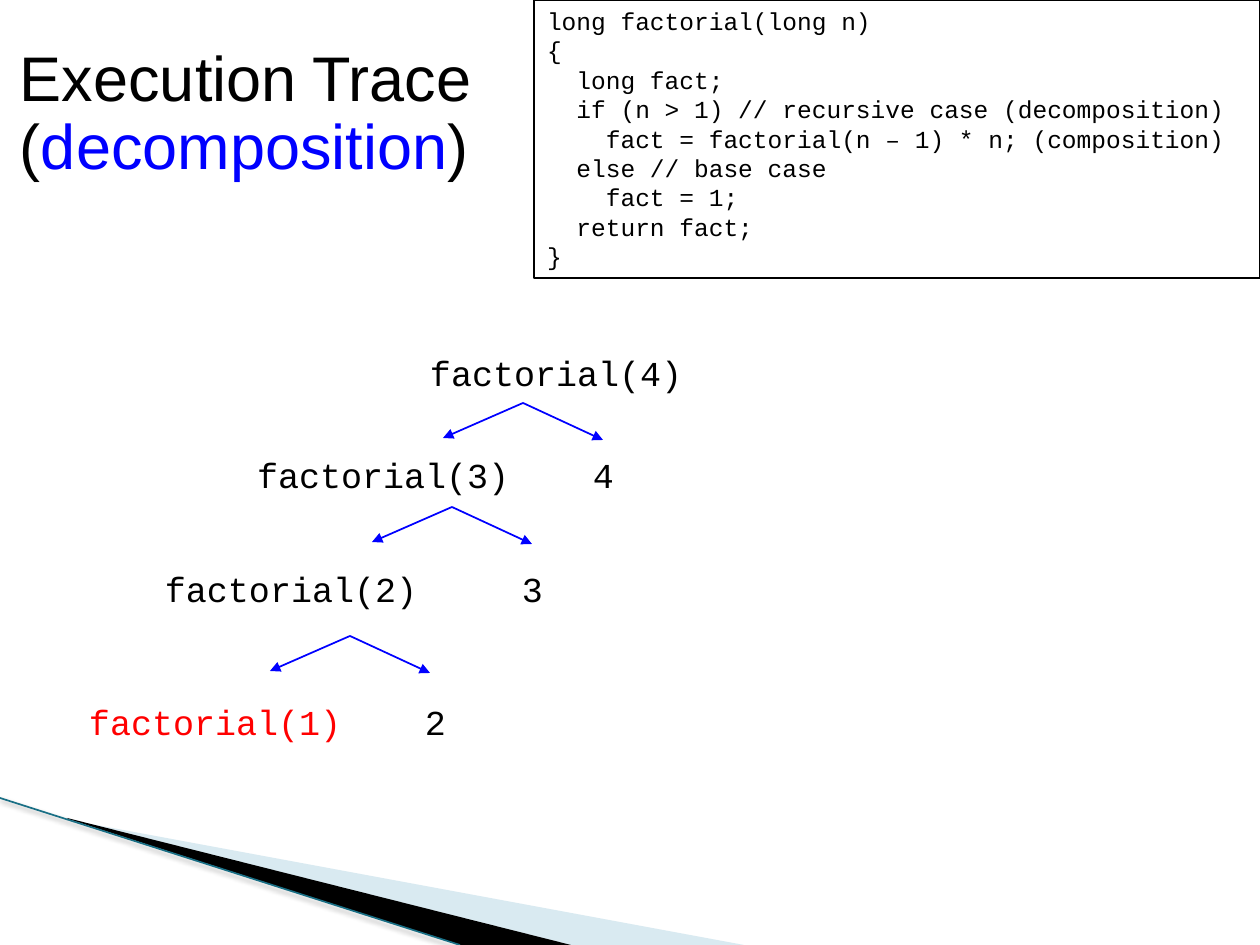
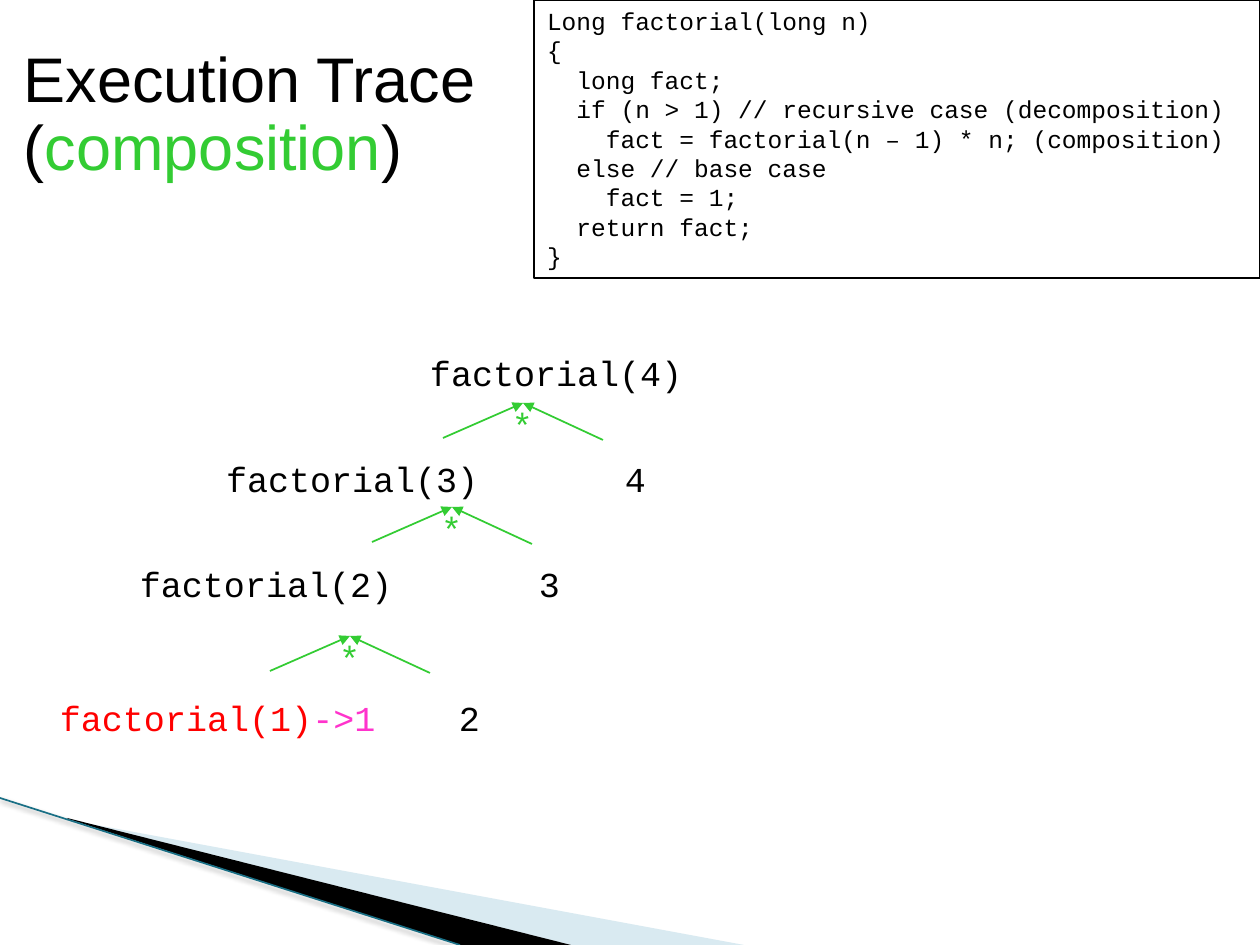
from dataclasses import dataclass

from lxml import etree
from pptx import Presentation
from pptx import util as u
from pptx.dml.color import RGBColor
from pptx.enum import shapes, text
from pptx.oxml import ns

SCALE = u.Inches(1) / 126
WIDE, HIGH = 1260, 945
BLACK = RGBColor(0, 0, 0)
WHITE = RGBColor(255, 255, 255)
BLUE = RGBColor(0, 0, 255)
GREEN = RGBColor(0x33, 0xCC, 0x33)
RED = RGBColor(255, 0, 0)
PINK = RGBColor(0xFF, 0x33, 0xCC)
PALE = RGBColor(0xA0, 0xCB, 0xDC)
TEAL = RGBColor(0x19, 0x6F, 0x85)
SANS, MONO = "Arial", "Courier New"
CHAR = 21
PAD = (13, 6)
PEAKS = [(523, 403), (452, 507), (350, 636)]
CODE = """{
  long fact;
  if (n > 1) // recursive case (decomposition)
    fact = factorial(n – 1) * n; (composition)
  else // base case
    fact = 1;
  return fact;
}""".split("\n")

Run = tuple[str, RGBColor]
Point = tuple[int, int]
Box = tuple[int, int, int, int]


@dataclass
class Call:
    box: Box
    runs: list[Run]
    stop: int = 0


@dataclass
class Trace:
    word: str
    tint: RGBColor
    title: Box
    kind: str
    calls: list[Call]
    upward: bool


def px(num: float) -> u.Emu:
    return u.Emu(round(num * SCALE))


def node(owner, tag: str, **attrs):
    item = etree.SubElement(owner, ns.qn(tag))
    for key, val in attrs.items():
        item.set(key, str(val))
    return item


def write(frame, lines: list[list[Run]], *, size: int = 20, font: str = MONO,
          pad: Point = PAD, wrap: bool = True, space: float = 1.0,
          stop: int = 0, anchor=text.MSO_ANCHOR.TOP) -> None:
    frame.word_wrap = wrap
    frame.vertical_anchor = anchor
    frame.margin_left = frame.margin_right = px(pad[0])
    frame.margin_top = frame.margin_bottom = px(pad[1])
    for num, runs in enumerate(lines):
        para = frame.add_paragraph() if num else frame.paragraphs[0]
        if stop:
            tabs = node(para._p.get_or_add_pPr(), "a:tabLst")
            node(tabs, "a:tab", pos=px(stop * CHAR), algn="l")
        para.alignment = text.PP_ALIGN.LEFT
        para.line_spacing = space
        for words, tint in runs:
            run = para.add_run()
            run.text = words
            run.font.size = u.Pt(size)
            run.font.name = font
            run.font.color.rgb = tint


def label(slide, box: Box, runs: list[Run], **form) -> None:
    write(slide.shapes.add_textbox(*map(px, box)).text_frame, [runs], **form)


def line(slide, start: Point, end: Point, tint: RGBColor, width: float = 1,
         arrow: str = ""):
    link = slide.shapes.add_connector(
        shapes.MSO_CONNECTOR.STRAIGHT, *map(px, start + end))
    link.line.color.rgb = tint
    link.line.width = u.Pt(width)
    if arrow:
        node(link.line._get_or_add_ln(), arrow, type="triangle")
    return node(link._element.spPr, "a:effectLst")


def wedge(slide, points: list[Point], tint: RGBColor, alpha: int = 100) -> None:
    build = slide.shapes.build_freeform(*points[0], scale=SCALE)
    build.add_line_segments(points[1:], close=True)
    shape = build.convert_to_shape()
    shape.shadow.inherit = False
    shape.fill.solid()
    shape.fill.fore_color.rgb = tint
    shape.line.fill.background()
    if alpha < 100:
        fill = shape._element.spPr.find(ns.qn("a:solidFill"))
        node(fill[0], "a:alpha", val=alpha * 1000)


def base(slide) -> None:
    wedge(slide, [(69, 820), (744, HIGH), (571, HIGH), (69, 819)], PALE, 40)
    wedge(slide, [(67, 818), (571, HIGH), (460, HIGH), (68, 819)], BLACK)
    effect = line(slide, (0, 798), (460, HIGH), TEAL, 0.96)
    shade = node(effect, "a:outerShdw", blurRad=u.Pt(3.1), dist=u.Pt(1.6),
                 dir=5400000, algn="t", rotWithShape=0)
    node(node(shade, "a:srgbClr", val=BLACK), "a:alpha", val=38000)


def code(slide, kind: str) -> None:
    shape = slide.shapes.add_shape(
        shapes.MSO_SHAPE.RECTANGLE, *map(px, (534, 0, 726, 278)))
    shape.shadow.inherit = False
    shape.fill.solid()
    shape.fill.fore_color.rgb = WHITE
    shape.line.color.rgb = BLACK
    shape.line.width = u.Pt(1)
    rows = [f"{kind} factorial(long n)"] + CODE
    write(shape.text_frame, [[(row, BLACK)] for row in rows], size=14)


def draw(slide, trace: Trace) -> None:
    base(slide)
    label(slide, trace.title,
          [("Execution Trace (", BLACK), (trace.word, trace.tint), (")", BLACK)],
          size=36, font=SANS, pad=(0, 0), space=0.9,
          anchor=text.MSO_ANCHOR.MIDDLE)
    code(slide, trace.kind)
    for call in trace.calls:
        label(slide, call.box, call.runs, stop=call.stop)
    arrow = "a:headEnd" if trace.upward else "a:tailEnd"
    for x, y in PEAKS:
        for dx, dy in ((-80, 35), (80, 37)):
            line(slide, (x, y), (x + dx, y + dy), trace.tint, arrow=arrow)
        if trace.upward:
            label(slide, (x - 24, y - 6, 47, 54), [("*", trace.tint)], wrap=False)


TRACES = [
    Trace("decomposition", BLUE, (20, 21, 484, 189), "long", [
        Call((417, 345, 281, 54), [("factorial(4)", BLACK)]),
        Call((244, 447, 459, 54), [("factorial(3)\t4", BLACK)], 16),
        Call((152, 561, 426, 54), [("factorial(2)\t3", BLACK)], 17),
        Call((76, 694, 386, 54), [("factorial(1)", RED), ("\t2", BLACK)], 16),
    ], False),
    Trace("composition", GREEN, (24, 28, 491, 176), "Long", [
        Call((417, 345, 384, 54), [("factorial(4)", BLACK)]),
        Call((213, 451, 459, 54), [("factorial(3)\t4", BLACK)], 19),
        Call((127, 556, 466, 54), [("factorial(2)\t3", BLACK)], 19),
        Call((47, 690, 454, 54),
             [("factorial(1)", RED), ("->1", PINK), ("\t2", BLACK)], 19),
    ], True),
]


def main() -> None:
    deck = Presentation()
    deck.slide_width, deck.slide_height = px(WIDE), px(HIGH)
    for trace in TRACES:
        draw(deck.slides.add_slide(deck.slide_layouts[6]), trace)
    deck.save("out.pptx")


if __name__ == "__main__":
    main()
